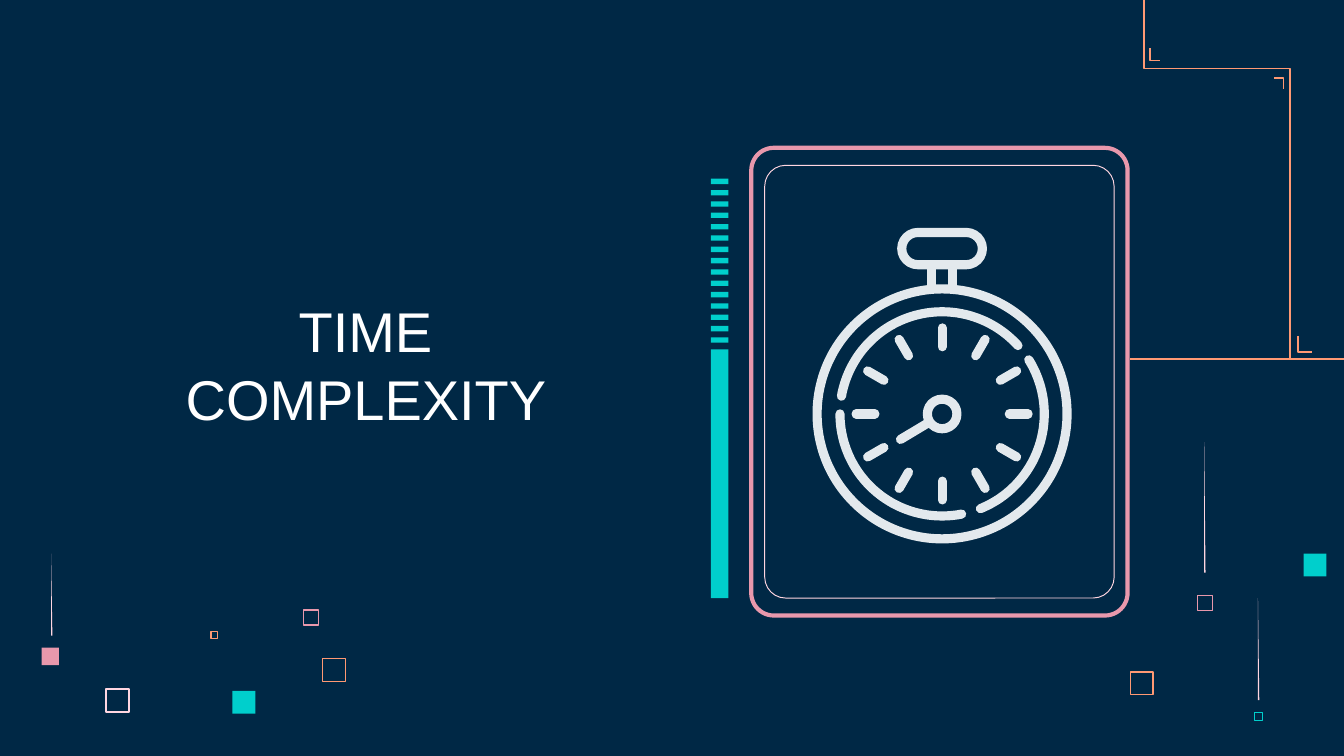
"""Build the time complexity section slide."""
from math import cos, radians, sin

from lxml.etree import SubElement
from pptx import Presentation
from pptx.dml.color import RGBColor as RGB
from pptx.enum.shapes import MSO_CONNECTOR as CON, MSO_SHAPE as SHP
from pptx.enum.text import MSO_ANCHOR as ANC, MSO_AUTO_SIZE as FIT, PP_ALIGN as ALN
from pptx.oxml.ns import qn
from pptx.util import Inches, Pt

HUES = {"navy": "002845", "teal": "00CFCC", "pink": "E898AC", "blush": "FFD6E1",
        "peach": "FF9973", "pale": "E3E9ED", "white": "FFFFFF"}


class Deck:
    """Hold the style and the current slide, and draw on it."""

    def __init__(self, hues, face):
        self.hues, self.face = hues, face
        self.show = Presentation()
        self.show.slide_width = Inches(10)
        self.show.slide_height = Inches(10) * 9 // 16
        self.slide = self.show.slides.add_slide(self.show.slide_layouts[0])
        self.shapes = self.slide.shapes
        back = self.slide.background.fill
        back.solid()
        back.fore_color.rgb = self.hue("navy")

    def hue(self, name):
        return RGB.from_string(self.hues[name])

    def title(self, text, *box):
        head, sub = self.slide.placeholders
        sub.element.getparent().remove(sub.element)
        for key, val in zip(("left", "top", "width", "height"), box):
            setattr(head, key, Inches(val))
        frame = head.text_frame
        frame.text = text
        para = frame.paragraphs[0]
        inset = Inches(0.1)
        looks = (
            (frame, {"word_wrap": True, "auto_size": FIT.NONE, "vertical_anchor": ANC.BOTTOM,
                     "margin_left": inset, "margin_right": inset,
                     "margin_top": inset, "margin_bottom": inset}),
            (para, {"alignment": ALN.CENTER}),
            (para.runs[0].font, {"name": self.face, "size": Pt(30)}),
            (para.runs[0].font.color, {"rgb": self.hue("white")}),
        )
        for part, look in looks:
            for key, val in look.items():
                setattr(part, key, val)

    def ink(self, shape, hue, width, cap="flat"):
        shape.line.color.rgb = self.hue(hue)
        shape.line.width = Pt(width)
        shape.element.spPr.find(qn("a:ln")).set("cap", cap)

    def paint(self, shape, hue, width=None, cap="flat"):
        shape.shadow.inherit = False
        if width:
            shape.fill.background()
            self.ink(shape, hue, width, cap)
        else:
            shape.fill.solid()
            shape.fill.fore_color.rgb = self.hue(hue)
            shape.line.fill.background()

    def block(self, hue, x, y, w, h, width=None, kind=SHP.RECTANGLE, bend=None):
        shape = self.shapes.add_shape(kind, *map(Inches, (x, y, w, h)))
        if bend is not None:
            shape.adjustments[0] = bend
        self.paint(shape, hue, width)

    def ring(self, hue, x, y, r, width):
        self.block(hue, x - r, y - r, 2 * r, 2 * r, width, SHP.OVAL)

    def trace(self, hue, dots, width=None, cap="flat"):
        dots = [(Inches(x), Inches(y)) for x, y in dots]
        pen = self.shapes.build_freeform(*dots[0])
        pen.add_line_segments(dots[1:], close=width is None)
        self.paint(pen.convert_to_shape(), hue, width, cap)

    def line(self, hue, start, end, width, cap="flat"):
        wire = self.shapes.add_connector(CON.STRAIGHT, *map(Inches, (*start, *end)))
        self.ink(wire, hue, width, cap)
        SubElement(wire.element.spPr, qn("a:effectLst"))


def scatter(deck):
    for hue, x, y, size, width in (
            ("blush", 0.79, 5.13, 0.17, 1), ("pink", 2.26, 4.54, 0.11, 0.75),
            ("peach", 1.57, 4.7, 0.05, 0.75), ("peach", 2.4, 4.9, 0.17, 0.75),
            ("teal", 1.73, 5.14, 0.17, None), ("pink", 8.91, 4.43, 0.11, 0.25),
            ("pink", 0.31, 4.82, 0.13, None), ("teal", 9.33, 5.3, 0.06, 0.25),
            ("peach", 8.41, 5, 0.17, 0.75), ("teal", 9.7, 4.12, 0.17, None)):
        deck.block(hue, x, y, size, size, width)
    for x, top, low in ((8.96, 3.29, 4.26), (0.38, 4.12, 4.73), (9.36, 4.45, 5.21)):
        deck.trace("blush", ((x, top), (x, low), (x + 0.01, low)))


def panel(deck):
    deck.block("pink", 5.59, 1.1, 2.8, 3.48, 2.25, SHP.ROUNDED_RECTANGLE, 0.06)
    deck.block("blush", 5.69, 1.23, 2.6, 3.22, 0.5, SHP.ROUNDED_RECTANGLE, 0.06)
    count, top, last = 15, 1.33, 2.51
    for i in range(count):
        deck.block("teal", 5.29, top + i * (last - top) / (count - 1), 0.13, 0.04)
    deck.block("teal", 5.29, 2.6, 0.13, 1.85)


def circuit(deck):
    wide = 1
    deck.line("peach", (8.41, 2.67), (10, 2.67), wide)
    for dots in (((8.51, 0), (8.51, 0.51), (9.6, 0.51), (9.6, 2.67)),
                 ((9.66, 2.5), (9.66, 2.62), (9.76, 2.62)),
                 ((9.48, 0.58), (9.55, 0.58), (9.55, 0.66)),
                 ((8.56, 0.36), (8.56, 0.45), (8.63, 0.45))):
        deck.trace("peach", dots, wide)


def watch(deck):
    x, y, hue, wide = 7.01, 3.08, "pale", 4.9

    def spot(r, turn):
        return x + r * cos(radians(turn)), y + r * sin(radians(turn))

    deck.block(hue, 6.71, 1.73, 0.6, 0.24, wide, SHP.ROUNDED_RECTANGLE, 0.5)
    for side in (-0.08, 0.08):
        deck.line(hue, (x + side, 1.98), (x + side, 2.14), wide)
    deck.ring(hue, x, y, 0.93, wide)
    for start, end in ((79, 180), (190, 318), (-32, 68)):
        deck.trace(hue, [spot(0.76, a) for a in range(start, end + 1)], wide, "rnd")
    for turn in range(0, 360, 30):
        deck.line(hue, spot(0.5, turn), spot(0.64, turn), wide, "rnd")
    deck.ring(hue, x, y, 0.11, wide)
    deck.line(hue, (6.7, 3.27), (6.9, 3.15), wide, "rnd")


def main():
    deck = Deck(HUES, "Arial")
    scatter(deck)
    deck.title("TIME COMPLEXITY ", 1.25, 2.68, 2.94, 0.63)
    panel(deck)
    circuit(deck)
    watch(deck)
    deck.show.save("out.pptx")


if __name__ == "__main__":
    main()
